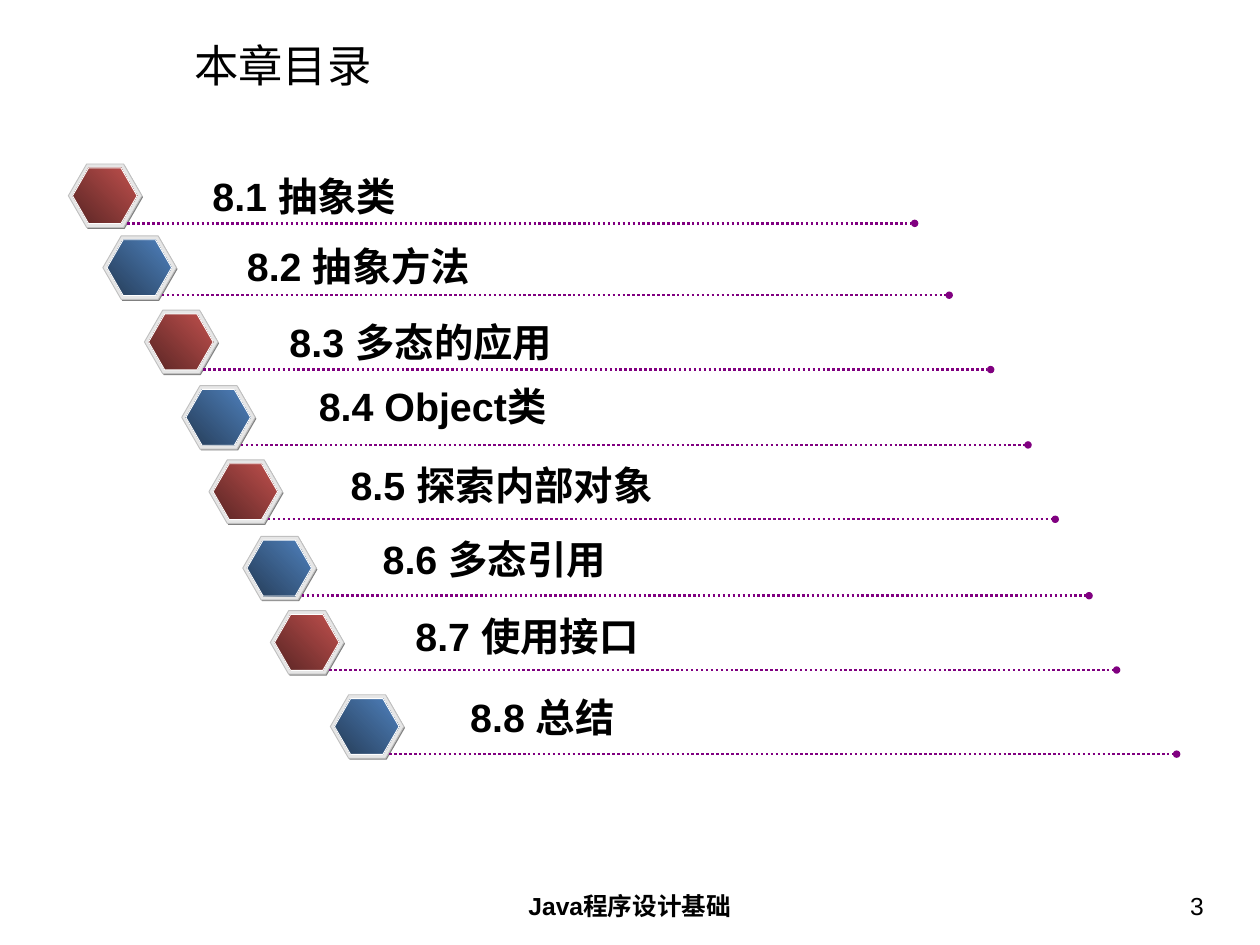
from pptx import Presentation
from pptx.dml.color import RGBColor
from pptx.enum.dml import MSO_LINE
from pptx.enum.shapes import MSO_CONNECTOR, MSO_SHAPE
from pptx.enum.text import MSO_ANCHOR, MSO_AUTO_SIZE, PP_ALIGN
from pptx.oxml.ns import qn
from pptx.util import Cm, Pt
from lxml import etree

HEXAGON = MSO_SHAPE.HEXAGON
STRAIGHT = MSO_CONNECTOR.STRAIGHT
DOTTED = MSO_LINE.ROUND_DOT
LEFT, CENTER, RIGHT = PP_ALIGN.LEFT, PP_ALIGN.CENTER, PP_ALIGN.RIGHT
TOP, MIDDLE = MSO_ANCHOR.TOP, MSO_ANCHOR.MIDDLE
FIXED, GROWING = MSO_AUTO_SIZE.NONE, MSO_AUTO_SIZE.SHAPE_TO_FIT_TEXT

BLACK = RGBColor(0x00, 0x00, 0x00)
WHITE = RGBColor(0xFF, 0xFF, 0xFF)
SHADE = RGBColor(0x80, 0x80, 0x80)
RIM = RGBColor(0xE6, 0xE6, 0xE6)
RIM_EDGE = RGBColor(0xC0, 0xC0, 0xC0)
PURPLE = RGBColor(0x80, 0x00, 0x80)
RED = (RGBColor(0x59, 0x25, 0x24), RGBColor(0xC0, 0x50, 0x4D))
BLUE = (RGBColor(0x25, 0x3C, 0x57), RGBColor(0x4F, 0x81, 0xBD))

TITLE_FONT = {"name": "Arial", "size": Pt(36), "bold": False}
ENTRY_FONT = {"name": "Arial", "size": Pt(32), "bold": True}
FOOTER_FONT = {"name": "Arial", "size": Pt(20), "bold": True}
NUMBER_FONT = {**FOOTER_FONT, "bold": False}

WIDE_FRAME = {
    "margin_left": Cm(0.36), "margin_right": Cm(0.36),
    "margin_top": Cm(0.18), "margin_bottom": Cm(0.18),
    "word_wrap": True, "auto_size": FIXED, "vertical_anchor": TOP,
}
TITLE_FRAME = {**WIDE_FRAME, "vertical_anchor": MIDDLE}
ENTRY_FRAME = {
    "margin_left": Cm(0.25), "margin_right": Cm(0.25),
    "margin_top": Cm(0.13), "margin_bottom": Cm(0.13),
    "word_wrap": False, "auto_size": GROWING, "vertical_anchor": TOP,
}

# Heading, hexagon left and top, heading left, top and width (cm)
ENTRIES = [
    ("8.1 抽象类", 1.96, 4.7, 5.84, 4.8, 6.05),
    ("8.2 抽象方法", 2.95, 6.76, 6.83, 6.81, 7.19),
    ("8.3 多态的应用", 4.14, 8.89, 8.05, 8.99, 8.31),
    ("8.4 Object类", 5.21, 11.05, 8.89, 10.82, 7.32),
    ("8.5 探索内部对象", 5.99, 13.18, 9.8, 13.08, 9.45),
    ("8.6 多态引用", 6.96, 15.37, 10.72, 15.21, 7.19),
    ("8.7 使用接口", 7.75, 17.5, 11.66, 17.42, 7.19),
    ("8.8 总结", 9.47, 19.91, 13.23, 19.74, 4.93),
]


def apply(target, values):
    for name, value in values.items():
        setattr(target, name, value)


class ContentsSlide:
    def __init__(self, slide):
        self.slide = slide
        self.shapes = slide.shapes

    def text(self, words, box, font, frame=WIDE_FRAME, align=LEFT):
        text_frame = self.shapes.add_textbox(*map(Cm, box)).text_frame
        apply(text_frame, frame)
        paragraph = text_frame.paragraphs[0]
        paragraph.alignment = align
        run = paragraph.add_run()
        run.text = words
        apply(run.font, font)
        run.font.color.rgb = BLACK

    def hexagon(self, box, fill, edge=None):
        """Draw a hexagon; fill is one colour or a (dark, light) pair."""
        hexagon = self.shapes.add_shape(HEXAGON, *map(Cm, box))
        hexagon.shadow.inherit = False
        hexagon.adjustments[0] = 0.289
        hexagon.adjustments[1] = 1.155
        if isinstance(fill, RGBColor):
            hexagon.fill.solid()
            hexagon.fill.fore_color.rgb = fill
        else:
            hexagon.fill.gradient()
            hexagon.fill.gradient_angle = 45
            for stop, colour in zip(hexagon.fill.gradient_stops, fill):
                stop.color.rgb = colour
        if edge is None:
            hexagon.line.fill.background()
        else:
            hexagon.line.color.rgb = edge
            hexagon.line.width = Pt(0.75)

    def dotted_rule(self, left, top, length):
        """Draw a dotted line that ends in a round dot."""
        ends = map(Cm, (left, top, left + length, top))
        rule = self.shapes.add_connector(STRAIGHT, *ends)
        rule.line.color.rgb = PURPLE
        apply(rule.line, {"width": Pt(2), "dash_style": DOTTED})
        properties = rule._element.spPr
        outline = properties.find(qn("a:ln"))
        etree.SubElement(outline, qn("a:tailEnd"), type="oval")
        etree.SubElement(properties, qn("a:effectLst"))

    def entry(self, heading, left, top, text_left, text_top, text_width, colours):
        """Draw one grouped line of the contents."""
        self.shapes = self.slide.shapes.add_group_shape().shapes
        self.hexagon((left + 0.03, top + 0.04, 2.11, 1.82), SHADE)
        self.hexagon((left, top, 2.11, 1.82), RIM, RIM_EDGE)
        self.hexagon((left + 0.12, top + 0.11, 1.85, 1.6), colours, WHITE)
        self.dotted_rule(left + 1.69, top + 1.7, 22.57)
        self.text(heading, (text_left, text_top, text_width, 1.63),
                  ENTRY_FONT, ENTRY_FRAME)
        self.shapes = self.slide.shapes


def main():
    deck = Presentation()
    deck.slide_width, deck.slide_height = Cm(36.12), Cm(27.08)
    contents = ContentsSlide(deck.slides.add_slide(deck.slide_layouts[6]))
    contents.text("本章目录", (5.21, 1.14, 30.05, 1.45), TITLE_FONT, TITLE_FRAME)
    contents.text("Java程序设计基础", (12.34, 25.35, 11.43, 1.4),
                  FOOTER_FONT, align=CENTER)
    contents.text("3", (26.44, 25.35, 8.43, 1.4), NUMBER_FONT, align=RIGHT)
    for index, entry in enumerate(ENTRIES):
        contents.entry(*entry, colours=BLUE if index % 2 else RED)
    deck.save("out.pptx")


if __name__ == "__main__":
    main()
